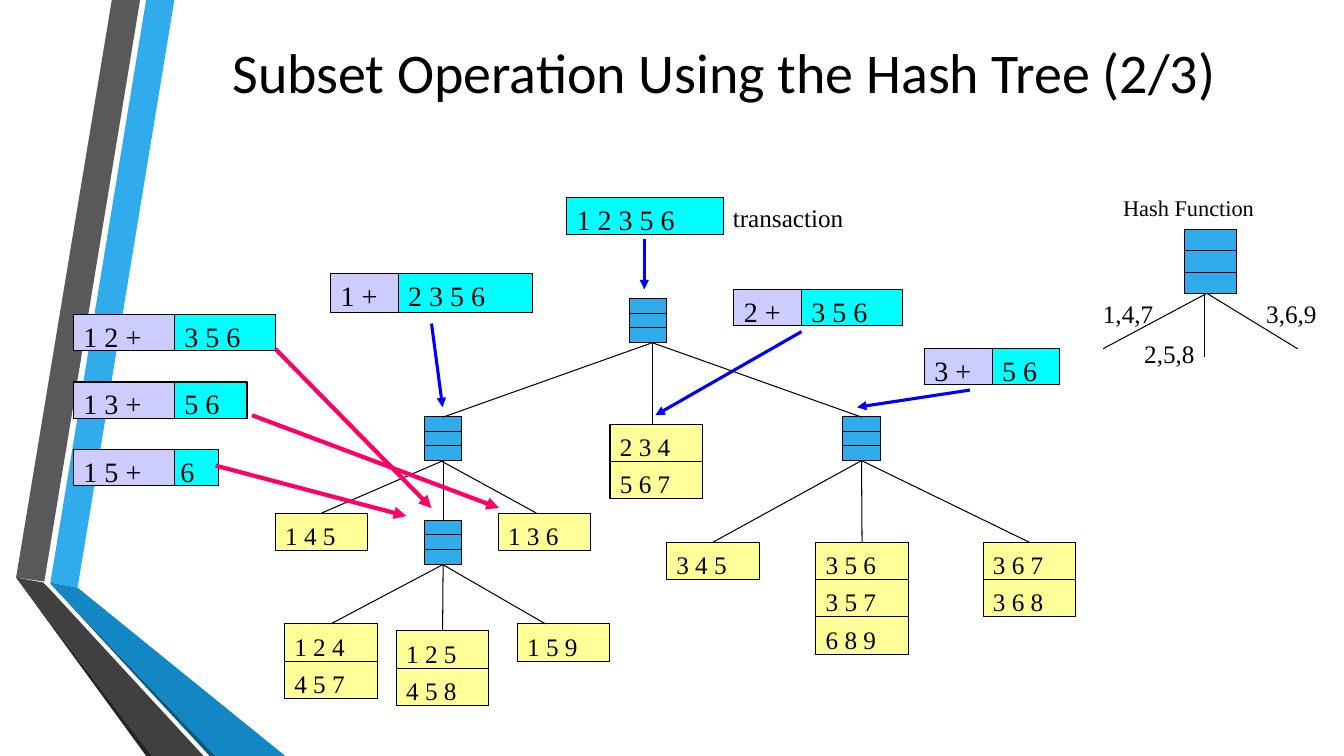
from dataclasses import dataclass

from pptx import Presentation
from pptx.dml.color import RGBColor
from pptx.enum.shapes import MSO_CONNECTOR as LINE, MSO_SHAPE as SHAPE
from pptx.enum.text import MSO_ANCHOR as ANCHOR, PP_ALIGN as ALIGN
from pptx.oxml.ns import qn
from pptx.util import Inches, Pt
from lxml.etree import SubElement


@dataclass(frozen=True)
class Theme:
    ink: str = "000000"
    node: str = "30ACEC"
    leaf: str = "FFFF99"
    prefix: str = "CCCCFF"
    items: str = "00FFFF"
    blue: str = "0000FF"
    pink: str = "FF0066"
    heading: str = "Calibri"
    body: str = "Times New Roman"
    title: int = 40
    set_size: int = 20
    label: int = 18
    small: int = 16
    thin: float = 0.75


T = Theme()
COLS, ROWS = 13.33, 7.5
LEAF_W, LEAF_H = 0.92, 0.37
NODE_W, NODE_H = 0.37, 0.44

TITLE = "Subset Operation Using the Hash Tree (2/3)"

RIBBONS = [
    ("30ACEC", [(0.5, 5.78), (0.77, 5.83), (1.73, 0), (1.45, 0)]),
    ("595959", [(1.39, 0), (1.11, 0), (0.16, 5.73), (0.44, 5.77)]),
    ("262626", [(0.16, 5.73), (1.45, 7.5), (1.51, 7.5)]),
    ("0C5A82", [(0.5, 5.79), (2.08, 7.5), (2.14, 7.5)]),
    ("1287C3", [(0.5, 5.79), (2.14, 7.5), (2.83, 7.5), (0.77, 5.83), (0.5, 5.78)]),
    ("404040", [(2.02, 7.5), (0.48, 5.83), (0.43, 5.78), (0.16, 5.73), (1.51, 7.5)]),
]

NODES = {
    "root": (6.24, 2.96, NODE_W, NODE_H),
    "left": (4.21, 4.13, NODE_W, NODE_H),
    "right": (8.36, 4.13, NODE_W, NODE_H),
    "inner": (4.21, 5.16, NODE_W, NODE_H),
    "hash": (11.75, 2.28, 0.51, 0.63),
}

LEAVES = [
    (2.73, 5.09, ["1 4 5"]),
    (4.94, 5.09, ["1 3 6"]),
    (2.82, 6.19, ["1 2 4", "4 5 7"]),
    (3.93, 6.26, ["1 2 5", "4 5 8"]),
    (5.13, 6.19, ["1 5 9"]),
    (6.05, 4.21, ["2 3 4", "5 6 7"]),
    (6.61, 5.38, ["3 4 5"]),
    (8.09, 5.38, ["3 5 6", "3 5 7", "6 8 9"]),
    (9.75, 5.38, ["3 6 7", "3 6 8"]),
]

JOINED_BRANCHES = [
    ("left", "1 4 5"), ("left", "inner"),
    ("right", "3 4 5"), ("right", "3 5 6"), ("right", "3 6 7"),
    ("inner", "1 2 4"), ("inner", "1 2 5"),
]

FREE_BRANCHES = [
    ((6.47, 3.4), [(4.39, 4.14), (6.47, 4.21), (8.55, 4.14)]),
    ((4.37, 4.57), [(5.32, 5.09)]),
    ((4.39, 5.6), [(5.41, 6.19)]),
    ((11.97, 2.91), [(10.94, 3.46), (12.87, 3.46)]),
    ((11.95, 2.91), [(11.95, 3.54)]),
]

SETS = [
    (5.62, 1.96, 0.37, [("1 2 3 5 6", 1.56, T.items)]),
    (3.28, 2.71, 0.39, [("1 +", 0.67, T.prefix), ("2 3 5 6", 1.33, T.items)]),
    (7.28, 2.87, 0.36, [("2 +", 0.67, T.prefix), ("3 5 6", 1, T.items)]),
    (9.17, 3.46, 0.36, [("3 +", 0.67, T.prefix), ("5 6", 0.67, T.items)]),
    (0.73, 3.12, 0.36, [("1 2 +", 1, T.prefix), ("3 5 6", 1, T.items)]),
    (0.73, 3.79, 0.36, [("1 3 +", 1, T.prefix), ("5 6", 0.72, T.items)]),
    (0.73, 4.46, 0.36, [("1 5 +", 1, T.prefix), ("6", 0.44, T.items)]),
]

LABELS = [
    ("transaction", 7.17, 1.96, 1.31, T.label),
    ("Hash Function", 11.04, 1.88, 1.52, T.small),
    ("1,4,7", 10.84, 2.91, 0.71, T.label),
    ("2,5,8", 11.25, 3.31, 0.71, T.label),
    ("3,6,9", 12.46, 2.91, 0.71, T.label),
]

ARROWS = [
    (T.blue, 2.25, [((6.39, 2.37), (6.39, 2.87)), ((4.28, 3.21), (4.39, 4.04)),
                    ((7.95, 3.29), (6.5, 4.12)), ((9.62, 3.87), (8.5, 4.04))]),
    (T.pink, 3, [((2.73, 3.46), (4.28, 5.04)), ((2.14, 4.62), (4.03, 5.12)),
                 ((2.5, 4.12), (4.95, 5.04))]),
]

prs = Presentation()
prs.slide_width, prs.slide_height = Inches(COLS), Inches(ROWS)
s = prs.slides.add_slide(prs.slide_layouts[6])


def rgb(color):
    return RGBColor.from_string(color)


def write(sp, text, size, font=T.body, align=ALIGN.LEFT, anchor=ANCHOR.TOP):
    tf = sp.text_frame
    tf.vertical_anchor = anchor
    p = tf.paragraphs[0]
    p.text, p.alignment = text, align
    p.font.size, p.font.name, p.font.color.rgb = Pt(size), font, rgb(T.ink)
    return tf


def ribbon(color, points):
    (x, y), *rest = [(Inches(px), Inches(py)) for px, py in points]
    builder = s.shapes.build_freeform(x, y)
    builder.add_line_segments(rest, close=True)
    sp = builder.convert_to_shape()
    sp.shadow.inherit = False
    sp.fill.solid()
    sp.fill.fore_color.rgb = rgb(color)
    sp.line.fill.background()


def box(x, y, w, h, color):
    sp = s.shapes.add_shape(SHAPE.RECTANGLE, *map(Inches, (x, y, w, h)))
    sp.shadow.inherit = False
    sp.fill.solid()
    sp.fill.fore_color.rgb = rgb(color)
    sp.line.color.rgb, sp.line.width = rgb(T.ink), Pt(T.thin)
    return sp


def cell(x, y, w, h, color, text, size, top):
    sp = box(x, y, w, h, color)
    tf = write(sp, text, size)
    tf.word_wrap = True
    tf.margin_left = Inches(0.1 if w > 0.5 else 0.06)
    tf.margin_right, tf.margin_top, tf.margin_bottom = 0, Inches(top), 0
    return sp


def line(start, end, color=T.ink, width=T.thin, arrow=False):
    c = s.shapes.add_connector(LINE.STRAIGHT, *map(Inches, (*start, *end)))
    c.line.color.rgb, c.line.width = rgb(color), Pt(width)
    if arrow:
        SubElement(c.line._get_or_add_ln(), qn("a:tailEnd"), type="triangle")
    SubElement(c._element.spPr, qn("a:effectLst"))
    return c


for color, points in RIBBONS:
    ribbon(color, points)

title = s.shapes.add_textbox(*map(Inches, (1.7, 0, 10.96, 1.42)))
write(title, TITLE, T.title, T.heading, ALIGN.CENTER, ANCHOR.MIDDLE).word_wrap = True

parts = {}
for name, (x, y, w, h) in NODES.items():
    parts[name] = box(x, y, w, h, T.node)
    for third in (1, 2):
        rule_y = y + h * third / 3
        line((x, rule_y), (x + w, rule_y))

for x, y, rows in LEAVES:
    for i, text in enumerate(rows):
        parts[text] = cell(x, y + i * LEAF_H, LEAF_W, LEAF_H, T.leaf, text, T.label, 0.07)

for parent, child in JOINED_BRANCHES:
    c = line((0, 0), (1, 1))
    c.begin_connect(parts[parent], 2)
    c.end_connect(parts[child], 0)

for start, ends in FREE_BRANCHES:
    for end in ends:
        line(start, end)

for x, y, h, pieces in SETS:
    for text, w, color in pieces:
        cell(x, y, w, h, color, text, T.set_size, 0.05)
        x += w

for text, x, y, w, size in LABELS:
    sp = s.shapes.add_textbox(*map(Inches, (x, y, w, 0.4)))
    write(sp, text, size).word_wrap = False

for color, width, spans in ARROWS:
    for start, end in spans:
        line(start, end, color, width, arrow=True)

prs.save("out.pptx")
